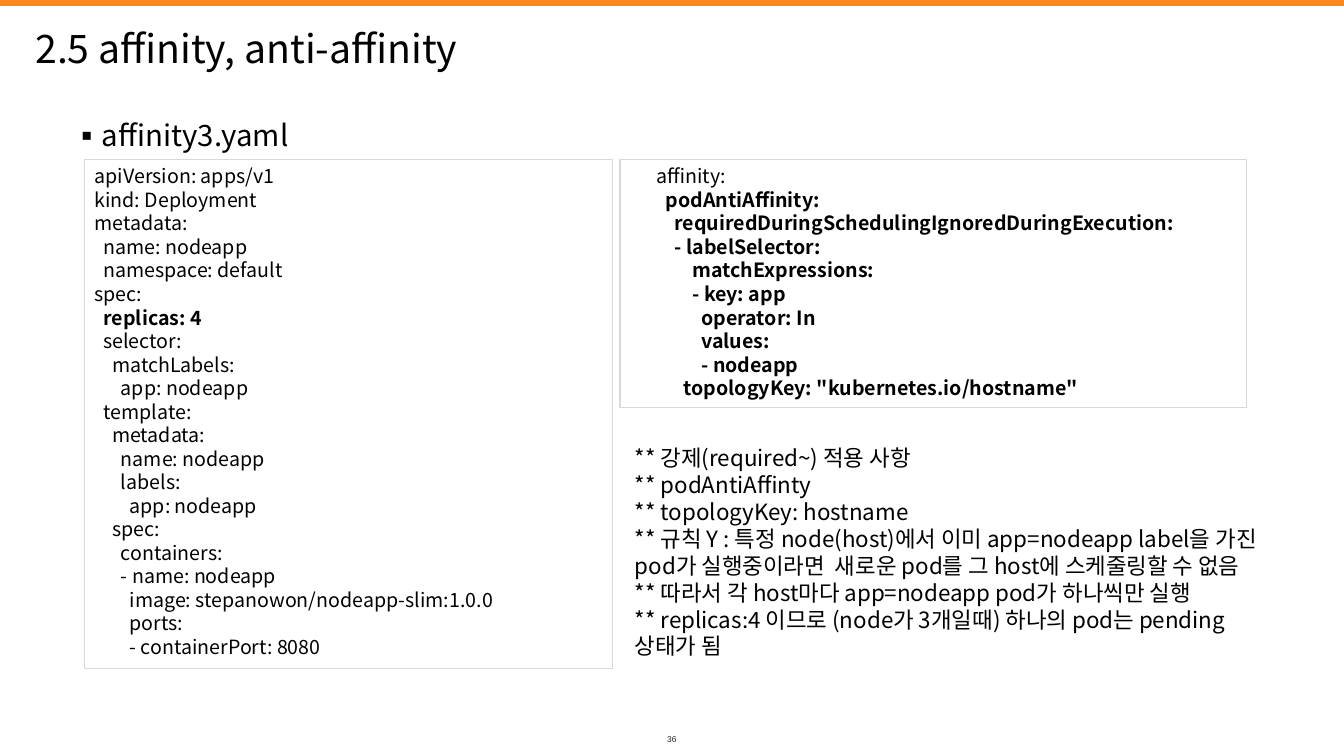
"""Build the slide on pod anti-affinity with its manifest and notes."""
from lxml import etree
from pptx import Presentation
from pptx import util as u
from pptx.dml.color import RGBColor
from pptx.enum import shapes, text
from pptx.oxml import ns

FONT = "Noto Sans CJK KR"
rgb = RGBColor.from_string

prs = Presentation()
prs.slide_width, prs.slide_height = u.Inches(13.33), u.Inches(7.5)
col, row = prs.slide_width / 100, prs.slide_height / 100


def place(x, y, w, h):
    """Turn columns and rows of a 100 by 100 grid into lengths."""
    return [u.Emu(round(n * unit)) for n, unit in zip((x, y, w, h), (col, row, col, row))]


def write(tf, content, size, font=FONT, color="000000", bold=(), align=text.PP_ALIGN.LEFT,
          anchor=text.MSO_ANCHOR.TOP, level=0):
    """Fill a text frame line by line; bold lists the line numbers to embolden."""
    tf.word_wrap = True
    tf.auto_size = text.MSO_AUTO_SIZE.NONE
    tf.vertical_anchor = anchor
    for i, line in enumerate(content.split("\n")):
        p = tf.paragraphs[0] if i == 0 else tf.add_paragraph()
        p.alignment, p.level = align, level
        p.line_spacing = u.Pt(size * 1.2)
        r = p.add_run()
        r.text = line
        r.font.size, r.font.name, r.font.bold = u.Pt(size), font, i in bold
        r.font.color.rgb = rgb(color)
        etree.SubElement(r.font._element, ns.qn("a:ea"), typeface=font)


s = prs.slides.add_slide(prs.slide_layouts[1])
title, body = s.placeholders
title.left, title.top, title.width, title.height = place(1.88, 2, 90, 8.67)
write(title.text_frame, "2.5 affinity, anti-affinity", 28, anchor=text.MSO_ANCHOR.MIDDLE)

body.left, body.top, body.width, body.height = place(1.8, 14.8, 96.4, 79.73)
write(body.text_frame, "affinity3.yaml", 21, level=1)
pPr = body.text_frame.paragraphs[0]._p.get_or_add_pPr()
pPr.set("marL", str(u.Inches(0.61)))
pPr.set("indent", str(u.Inches(-0.23)))
etree.SubElement(pPr, ns.qn("a:buFont"), typeface=FONT)
etree.SubElement(pPr, ns.qn("a:buChar"), char="▪")

bar = s.shapes.add_shape(shapes.MSO_SHAPE.RECTANGLE, *place(0, 0, 100, 0.8))
bar.shadow.inherit = False
bar.fill.solid()
bar.fill.fore_color.rgb = rgb("FC8919")
bar.line.fill.background()

deployment = """apiVersion: apps/v1
kind: Deployment
metadata:
  name: nodeapp
  namespace: default
spec:
  replicas: 4
  selector:
    matchLabels:
      app: nodeapp
  template:
    metadata:
      name: nodeapp
      labels:
        app: nodeapp
    spec:
      containers:
      - name: nodeapp
        image: stepanowon/nodeapp-slim:1.0.0
        ports:
        - containerPort: 8080"""

affinity = """      affinity:
        podAntiAffinity:
          requiredDuringSchedulingIgnoredDuringExecution:
          - labelSelector:
              matchExpressions:
              - key: app
                operator: In
                values:
                - nodeapp
            topologyKey: "kubernetes.io/hostname\""""

for code, bold, area in [
    (deployment, [6], (6.3, 21.07, 39.3, 67.33)),
    (affinity, range(1, 10), (46.13, 21.07, 46.65, 32.8)),
]:
    sp = s.shapes.add_shape(shapes.MSO_SHAPE.RECTANGLE, *place(*area))
    sp.shadow.inherit = False
    sp.fill.solid()
    sp.fill.fore_color.rgb = rgb("FFFFFF")
    sp.line.color.rgb = rgb("D9D9D9")
    sp.line.width = u.Pt(0.75)
    write(sp.text_frame, code, 14, bold=bold)

notes = """** 강제(required~) 적용 사항
** podAntiAffinty
** topologyKey: hostname
** 규칙 Y : 특정 node(host)에서 이미 app=nodeapp label을 가진
pod가 실행중이라면  새로운 pod를 그 host에 스케줄링할 수 없음
** 따라서 각 host마다 app=nodeapp pod가 하나씩만 실행
** replicas:4 이므로 (node가 3개일때) 하나의 pod는 pending
상태가 됨"""
sp = s.shapes.add_textbox(*place(46.5, 58.13, 51.83, 33.6))
sp.text_frame.margin_right = 0
write(sp.text_frame, notes, 16)

sp = s.shapes.add_textbox(*place(48.53, 96.67, 2.93, 2.27))
tf = sp.text_frame
tf.margin_left = tf.margin_top = tf.margin_right = tf.margin_bottom = 0
write(tf, "36", 6, font="Arial", color="262626", align=text.PP_ALIGN.CENTER,
      anchor=text.MSO_ANCHOR.MIDDLE)

prs.save("out.pptx")
